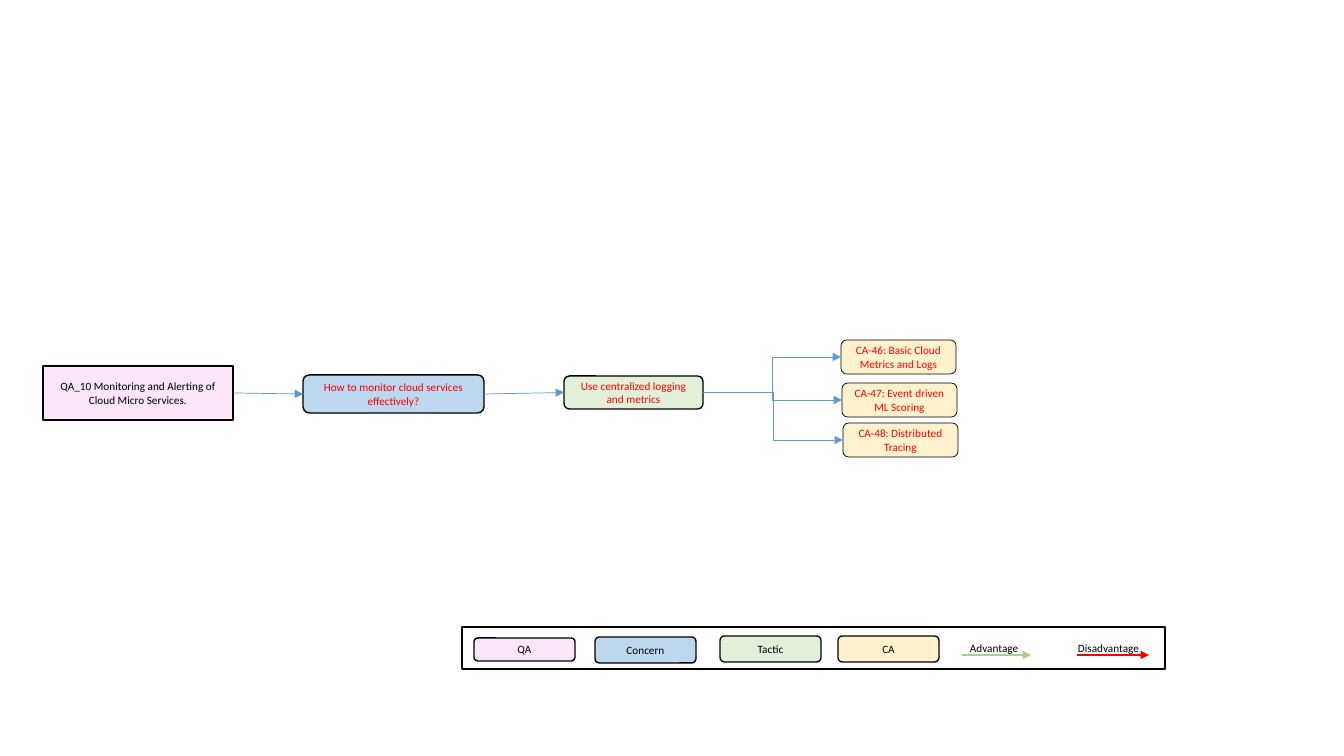
"""Builds a slide that traces a quality attribute to its concern, tactic and architectures."""
from pptx import Presentation, util as u
from pptx.dml.color import RGBColor
from pptx.enum import shapes as es, text as et
from pptx.oxml.ns import qn
from lxml import etree

PX = 914400 / 100.8
BLACK, RED, BLUE = "000000", "FF0000", "5B9BD5"
PINK, SKY, MINT, CREAM = "FBE5F9", "BDD7EE", "E2F0D9", "FFF2CC"
RECT = es.MSO_SHAPE.RECTANGLE
ROUND = es.MSO_SHAPE.ROUNDED_RECTANGLE
LINE, BENT = es.MSO_CONNECTOR.STRAIGHT, es.MSO_CONNECTOR.ELBOW

deck = Presentation()
deck.slide_width, deck.slide_height = u.Inches(13.333), u.Inches(7.5)
slide = deck.slides.add_slide(deck.slide_layouts[6])
items = slide.shapes


def label(shape, words, color):
    frame = shape.text_frame
    frame.text = words
    frame.word_wrap = True
    font = frame.paragraphs[0].runs[0].font
    font.name, font.size = "Calibri", u.Pt(8)
    font.color.rgb = RGBColor.from_string(color)
    return frame


def arrow(link, color, width):
    link.line.color.rgb = RGBColor.from_string(color)
    link.line.width = u.Pt(width)
    props = link._element.spPr
    etree.SubElement(props.find(qn("a:ln")), qn("a:tailEnd"), type="triangle")
    etree.SubElement(props, qn("a:effectLst"))


boxes = {}
for name, form, area, fill, width, words, color in [
    ("frame", RECT, (462, 627, 703, 42), None, 1.5, "", BLACK),
    ("qa", RECT, (43, 366, 190, 54), PINK, 1,
     "QA_10 Monitoring and Alerting of Cloud Micro Services.", BLACK),
    ("concern", ROUND, (303, 375, 181, 38), SKY, 1,
     "How to monitor cloud services effectively?", RED),
    ("tactic", ROUND, (564, 376, 139, 33), MINT, 1,
     "Use centralized logging and metrics", RED),
    ("ca46", ROUND, (841, 340, 115, 34), CREAM, 0.5,
     "CA-46: Basic Cloud Metrics and Logs", RED),
    ("ca47", ROUND, (842, 383, 115, 34), CREAM, 0.5,
     "CA-47: Event driven ML Scoring", RED),
    ("ca48", ROUND, (843, 423, 115, 34), CREAM, 0.5,
     "CA-48: Distributed Tracing", RED),
    ("key qa", ROUND, (474, 638, 101, 23), PINK, 1, "QA", BLACK),
    ("key concern", ROUND, (595, 637, 101, 26), SKY, 1, "Concern", BLACK),
    ("key tactic", ROUND, (720, 636, 101, 26), MINT, 1, "Tactic", BLACK),
    ("key ca", ROUND, (838, 636, 101, 26), CREAM, 1, "CA", BLACK),
]:
    box = items.add_shape(form, *[round(n * PX) for n in area])
    box.shadow.inherit = False
    box.line.color.rgb = RGBColor.from_string(BLACK)
    box.line.width = u.Pt(width)
    if fill:
        box.fill.solid()
        box.fill.fore_color.rgb = RGBColor.from_string(fill)
    else:
        box.fill.background()
    if words:
        frame = label(box, words, color)
        frame.vertical_anchor = et.MSO_ANCHOR.MIDDLE
        frame.paragraphs[0].alignment = et.PP_ALIGN.CENTER
    boxes[name] = box

for start, end, kind in [
    ("qa", "concern", LINE), ("concern", "tactic", LINE),
    ("tactic", "ca46", BENT), ("tactic", "ca47", BENT), ("tactic", "ca48", BENT),
]:
    link = items.add_connector(kind, 0, 0, 0, 0)
    link.begin_connect(boxes[start], 3)
    link.end_connect(boxes[end], 1)
    arrow(link, BLUE, 0.5)

for words, left, wide, start, end, color in [
    ("Advantage", 960, 74, 962, 1031, "A9D18E"),
    ("Disadvantage", 1068, 97, 1077, 1149, RED),
]:
    link = items.add_connector(LINE, *[round(n * PX) for n in (start, 655, end, 655)])
    arrow(link, color, 1.25)
    note = items.add_textbox(*[round(n * PX) for n in (left, 636, wide, 24)])
    label(note, words, BLACK).auto_size = et.MSO_AUTO_SIZE.SHAPE_TO_FIT_TEXT

deck.save("out.pptx")
